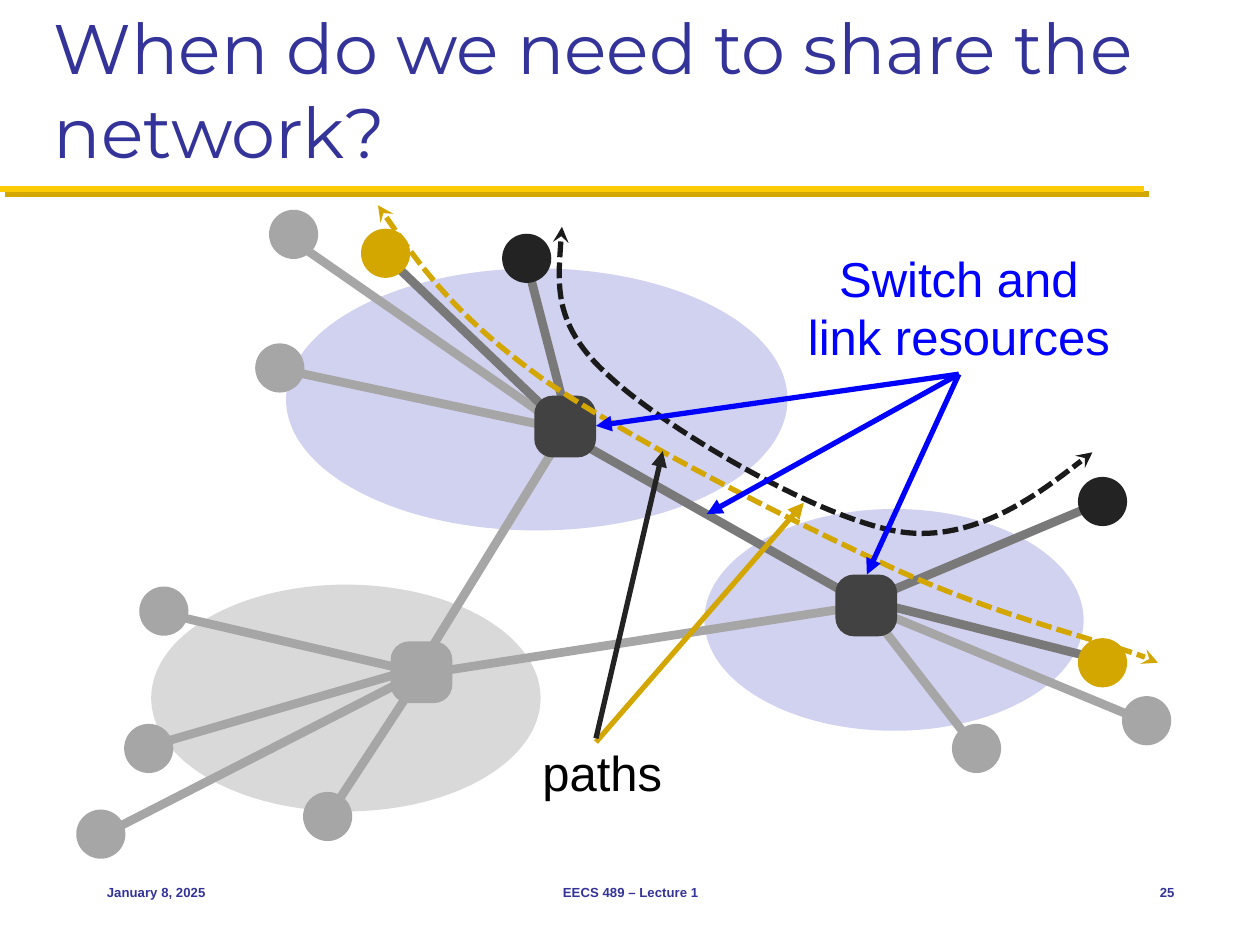
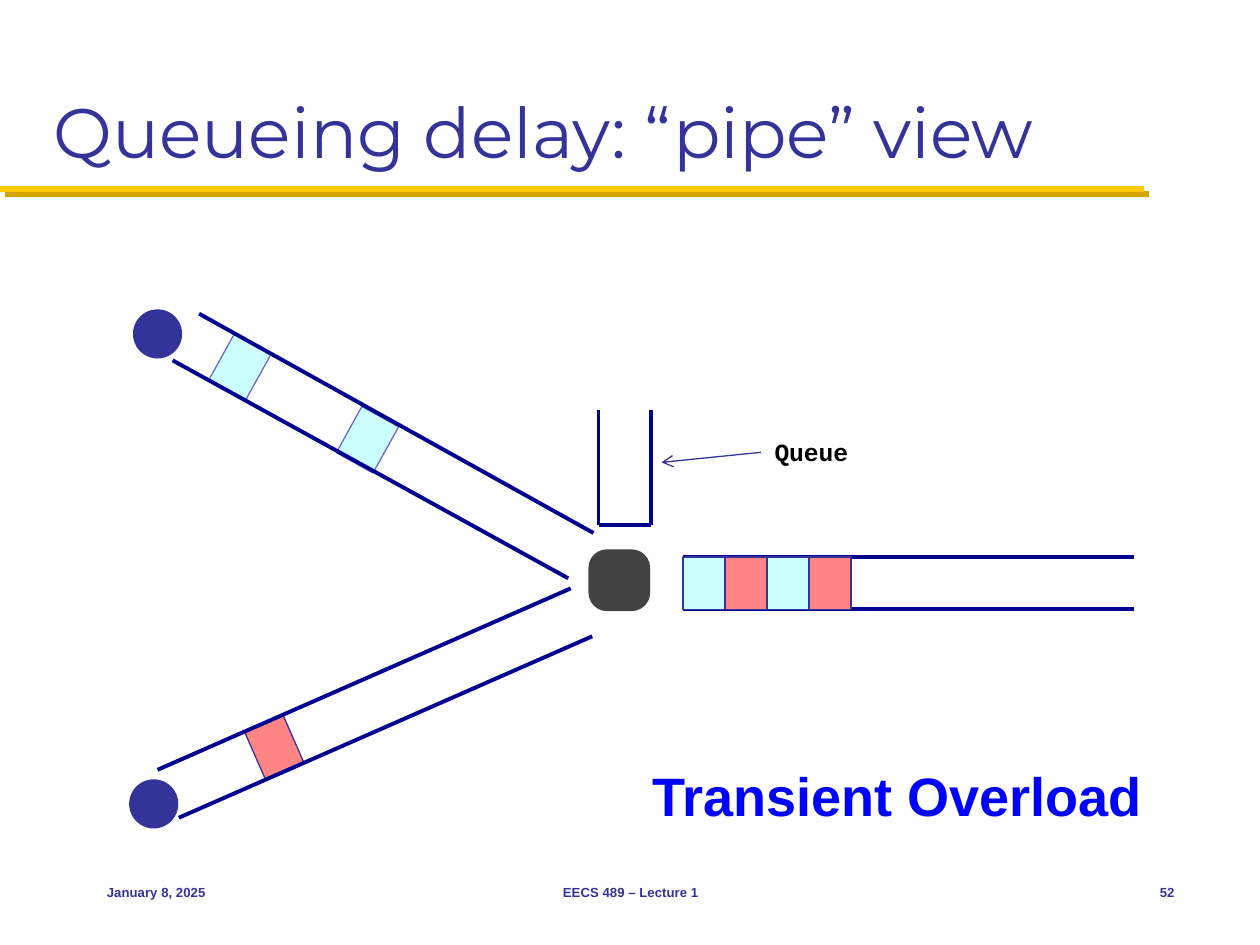
from lxml.etree import SubElement
from pptx import Presentation
from pptx.dml.color import RGBColor
from pptx.enum.dml import MSO_LINE
from pptx.enum.shapes import MSO_CONNECTOR, MSO_SHAPE
from pptx.enum.text import MSO_ANCHOR, PP_ALIGN
from pptx.oxml.ns import qn
from pptx.util import Inches, Pt

COLORS = {
    "title": "333399", "band": "FFCB05", "gold": "D3A600", "black": "232323",
    "ink": "000000", "dashes": "1A1A1A", "switch": "424242", "idle": "A6A6A6",
    "busy": "797979", "cloud": "D1D1F0", "idle_cloud": "D9D9D9",
    "callout": "0000FF", "wall": "000090", "cyan": "CCFFFF", "red": "FF8585",
    "packet_edge": "6A6ACD",
}
HOST_SIZE = 0.39
SWITCH_SIZE = 0.49
PACKET_WIDTH, PACKET_HEIGHT = 1 / 3, 0.42


def color(name):
    return RGBColor.from_string(COLORS[name])


def write(shape, text, font="Arial", size=28, ink="ink", bold=False,
          align=PP_ALIGN.LEFT, anchor=MSO_ANCHOR.TOP, wrap=True):
    frame = shape.text_frame
    frame.word_wrap = wrap
    frame.vertical_anchor = anchor
    paragraph = frame.paragraphs[0]
    paragraph.text = text
    paragraph.alignment = align
    paragraph.font.name = font
    paragraph.font.size = Pt(size)
    paragraph.font.bold = bold
    paragraph.font.color.rgb = color(ink)


def add_arrowheads(shape, **heads):
    """Take headEnd and tailEnd with their arrow types."""
    outline = shape.element.spPr.find(qn("a:ln"))
    for end, kind in heads.items():
        SubElement(outline, qn(f"a:{end}"), type=kind)


class Deck:
    def __init__(self):
        self.presentation = Presentation()
        self.presentation.slide_width = Inches(10)
        self.presentation.slide_height = Inches(7.5)
        self.slide = None

    def new_slide(self, title, number):
        layout = self.presentation.slide_layouts[6]
        self.slide = self.presentation.slides.add_slide(layout)
        self.band()
        self.text(0.33, 0.17, 9.33, 1.25, title, font="Montserrat", size=40,
                  ink="title", anchor=MSO_ANCHOR.BOTTOM)
        for left, width, text, align in (
                (0.75, 2.08, "January 8, 2025", PP_ALIGN.LEFT),
                (3.42, 3.17, "EECS 489 – Lecture 1", PP_ALIGN.CENTER),
                (8.75, 0.67, str(number), PP_ALIGN.RIGHT)):
            self.text(left, 6.83, width, 0.5, text, size=7.5, bold=True,
                      ink="title", align=align, anchor=MSO_ANCHOR.MIDDLE)

    def band(self):
        """Draw the yellow rule under the title with its hard gold shadow."""
        rule = self.line((0, 1.5), (9.08, 1.5), "band", 3.5)
        effects = rule.element.spPr.find(qn("a:effectLst"))
        shadow = SubElement(effects, qn("a:outerShdw"), blurRad="0",
                            dist=str(Pt(4.2)), dir="2700000", algn="ctr",
                            rotWithShape="0")
        SubElement(shadow, qn("a:srgbClr"), val=COLORS["gold"])

    def text(self, left, top, width, height, text, **style):
        box = self.slide.shapes.add_textbox(
            Inches(left), Inches(top), Inches(width), Inches(height))
        write(box, text, **style)

    def line(self, start, end, ink, width, arrow=None):
        points = [Inches(value) for value in (*start, *end)]
        line = self.slide.shapes.add_connector(MSO_CONNECTOR.STRAIGHT, *points)
        line.line.color.rgb = color(ink)
        line.line.width = Pt(width)
        SubElement(line.element.spPr, qn("a:effectLst"))
        if arrow:
            add_arrowheads(line, tailEnd=arrow)
        return line

    def shape(self, kind, left, top, width, height, fill, edge=None):
        shape = self.slide.shapes.add_shape(
            kind, Inches(left), Inches(top), Inches(width), Inches(height))
        shape.shadow.inherit = False
        shape.fill.solid()
        shape.fill.fore_color.rgb = color(fill)
        if edge:
            shape.line.color.rgb = color(edge)
            shape.line.width = Pt(0.75)
        else:
            shape.line.fill.background()
        return shape

    def host(self, center, fill):
        left, top = (value - HOST_SIZE / 2 for value in center)
        self.shape(MSO_SHAPE.OVAL, left, top, HOST_SIZE, HOST_SIZE, fill)

    def switch(self, left, top, fill="switch"):
        switch = self.shape(MSO_SHAPE.ROUNDED_RECTANGLE, left, top,
                            SWITCH_SIZE, SWITCH_SIZE, fill)
        switch.adjustments[0] = 0.3

    def packet(self, left, top, fill, edge="title", rotation=0):
        packet = self.shape(MSO_SHAPE.RECTANGLE, left, top, PACKET_WIDTH,
                            PACKET_HEIGHT, fill, edge)
        packet.rotation = rotation

    def walls(self, *ends):
        for start, end in ends:
            self.line(start, end, "wall", 2.25)

    def dashed_curve(self, points, ink):
        """Draw Bézier arcs: a start point, then three points for each arc."""
        points = [(Inches(x), Inches(y)) for x, y in points]
        builder = self.slide.shapes.build_freeform(*points[0])
        builder.add_line_segments(points[1:], close=False)
        curve = builder.convert_to_shape()
        path_element = curve.element.spPr.find(".//" + qn("a:path"))
        for index, segment in enumerate(path_element.findall(qn("a:lnTo"))):
            if index % 3 == 0:
                arc = SubElement(path_element, qn("a:cubicBezTo"))
            arc.append(segment[0])
            path_element.remove(segment)
        curve.shadow.inherit = False
        curve.fill.background()
        curve.line.color.rgb = color(ink)
        curve.line.width = Pt(3)
        curve.line.dash_style = MSO_LINE.SQUARE_DOT
        add_arrowheads(curve, headEnd="stealth", tailEnd="stealth")


def sharing_slide(deck):
    deck.new_slide("When do we need to share the network?", 25)
    for left, top, width, height, fill in (
            (5.59, 4.04, 3.01, 1.76, "cloud"),
            (2.27, 2.13, 3.98, 2.08, "cloud"),
            (1.2, 4.64, 3.09, 1.8, "idle_cloud")):
        deck.shape(MSO_SHAPE.OVAL, left, top, width, height, fill)

    # Host centre, host colour, link start, link end
    hosts = [
        ((4.18, 2.05), "black", (4.19, 2.12), (4.53, 3.43)),
        ((9.1, 5.72), "idle", (9.12, 5.74), (6.85, 4.8)),
        ((0.8, 6.62), "idle", (0.77, 6.65), (3.27, 5.37)),
        ((2.22, 2.92), "idle", (2.23, 2.93), (4.43, 3.4)),
        ((1.3, 4.85), "idle", (1.27, 4.86), (3.29, 5.33)),
        ((2.6, 6.48), "idle", (2.63, 6.44), (3.33, 5.37)),
        ((2.33, 1.86), "idle", (2.34, 1.92), (4.4, 3.35)),
        ((3.06, 2.01), "gold", (3.06, 2.03), (4.43, 3.34)),
        ((1.18, 5.94), "idle", (1.16, 5.93), (3.29, 5.31)),
        ((8.75, 3.98), "black", (8.73, 3.99), (6.83, 4.79)),
        ((7.75, 5.94), "idle", (7.73, 5.92), (6.9, 4.85)),
        ((8.75, 5.26), "gold", (8.72, 5.23), (6.9, 4.77)),
    ]
    for _, fill, start, end in hosts:
        deck.line(start, end, "idle" if fill == "idle" else "busy", 5)
    for start, end, ink in (((4.42, 3.41), (6.88, 4.8), "busy"),
                            ((4.49, 3.41), (3.34, 5.28), "idle"),
                            ((6.9, 4.8), (3.35, 5.35), "idle")):
        deck.line(start, end, ink, 5)
    for center, fill, _, _ in hosts:
        deck.host(center, fill)
    deck.switch(4.24, 3.14)
    deck.switch(3.1, 5.09, "idle")
    deck.switch(6.63, 4.56)

    deck.dashed_curve([(4.46, 1.8), (4.43, 2.2), (4.39, 2.59), (4.84, 2.99),
                       (5.28, 3.4), (6.5, 4.12), (7.14, 4.22),
                       (7.78, 4.32), (8.67, 3.59), (8.67, 3.59)], "dashes")
    deck.dashed_curve([(3, 1.63), (3.31, 2.08), (3.63, 2.52), (4.31, 3.01),
                       (5, 3.49), (6.29, 4.14), (7.11, 4.52),
                       (7.92, 4.89), (8.93, 5.13), (9.19, 5.26)], "gold")

    deck.text(6.3, 1.92, 2.62, 1.04, "Switch and link resources",
              ink="callout", align=PP_ALIGN.CENTER)
    for target in ((4.73, 3.38), (6.88, 4.56), (5.61, 4.08)):
        deck.line((7.61, 2.97), target, "callout", 3, "triangle")
    deck.line((4.73, 5.89), (6.38, 3.99), "gold", 3, "triangle")
    deck.line((4.73, 5.86), (5.26, 3.58), "black", 3, "triangle")
    deck.text(3.47, 5.84, 2.62, 0.57, "paths", align=PP_ALIGN.CENTER)


def queueing_slide(deck):
    deck.new_slide("Queueing delay: “pipe” view", 52)
    # Queue
    deck.walls(((4.75, 3.25), (4.75, 4.17)), ((5.17, 3.25), (5.17, 4.17)),
               ((4.75, 4.17), (5.17, 4.17)))
    deck.text(6.04, 3.42, 0.79, 0.34, "Queue", font="Courier New", size=14.1,
              bold=True, align=PP_ALIGN.RIGHT, wrap=False)
    deck.line((6.04, 3.59), (5.25, 3.67), "title", 0.75, "arrow")

    # Outgoing pipe
    deck.walls(((5.42, 4.42), (9, 4.42)), ((5.42, 4.83), (9, 4.83)))
    for index, fill in enumerate(("cyan", "red", "cyan", "red")):
        deck.packet(5.42 + index * PACKET_WIDTH, 4.42, fill)
    deck.switch(4.67, 4.36)

    # Incoming pipes
    deck.host((1.25, 2.65), "title")
    deck.host((1.22, 6.38), "title")
    deck.packet(2.01, 5.72, "red", rotation=336.3)
    deck.walls(((1.25, 6.11), (4.53, 4.67)), ((1.42, 6.49), (4.7, 5.05)))
    for left, top in ((2.75, 3.28), (1.74, 2.7)):
        deck.packet(left, top, "cyan", "packet_edge", rotation=29)
    deck.walls(((1.58, 2.49), (4.71, 4.23)), ((1.37, 2.86), (4.51, 4.59)))

    deck.text(5.08, 6, 4.67, 0.62, "Transient Overload", size=30.9,
              ink="callout", bold=True)


def main():
    deck = Deck()
    sharing_slide(deck)
    queueing_slide(deck)
    deck.presentation.save("out.pptx")


if __name__ == "__main__":
    main()
